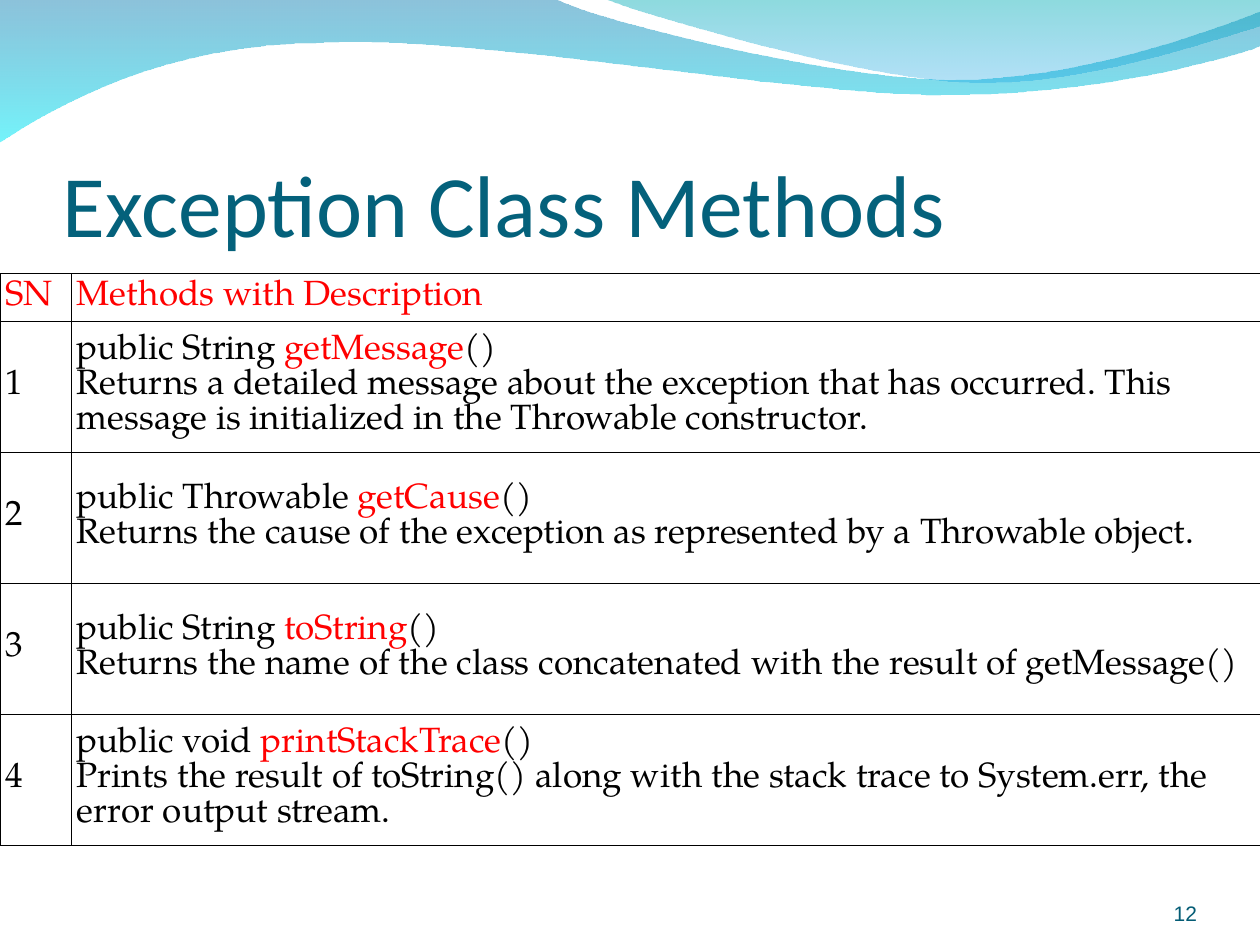
from lxml.etree import SubElement
from pptx import Presentation
from pptx.dml.color import RGBColor
from pptx.enum.text import MSO_ANCHOR, PP_ALIGN
from pptx.oxml import parse_xml
from pptx.oxml.ns import nsdecls, qn
from pptx.util import Inches, Pt

COLORS = {
    "title": "04617B", "number": "045C75", "accent": "FF0000", "text": "000000",
    "wave_top": "0079AF", "wave_bottom": "00EBF8",
    "crest_top": "00ADB6", "crest_bottom": "009BE5",
}
BODY_FONT = "TeX Gyre Pagella"
WAVE = [
    [(0, -0.01)], [(4.4, -0.01)],
    [(4.76, 0.17), (6.64, 0.63), (7.58, 0.63)],
    [(8.53, 0.63), (9.58, 0.26), (10, 0.09)],
    [(10.01, 0.36)],
    [(9.83, 0.44), (8.7, 0.76), (7.46, 0.75)],
    [(6.22, 0.75), (3.82, 0.28), (2.57, 0.34)],
    [(1.29, 0.35), (0.46, 0.83), (-0.01, 1.13)],
]
CREST = [
    [(4.79, -0.01)],
    [(5.09, 0.11), (6.82, 0.62), (7.69, 0.65)],
    [(8.56, 0.69), (9.61, 0.32), (10, 0.21)],
    [(10, 0)],
]
METHODS = [
    ("String", "getMessage", "Returns a detailed message about the exception that has occurred. "
     "This message is initialized in the Throwable constructor."),
    ("Throwable", "getCause",
     "Returns the cause of the exception as represented by a Throwable object."),
    ("String", "toString",
     "Returns the name of the class concatenated with the result of getMessage()"),
    ("void", "printStackTrace", "Prints the result of toString() along with the stack trace "
     "to System.err, the error output stream."),
]


def add_run(p, text, size=20, font=BODY_FONT, color="text"):
    r = p.add_run()
    r.text = text
    r.font.size = Pt(size)
    r.font.name = font
    r.font.color.rgb = RGBColor.from_string(COLORS[color])


def add_text(s, box, text, align=PP_ALIGN.LEFT, top_inset=0, before=0, **style):
    tf = s.shapes.add_textbox(*map(Inches, box)).text_frame
    tf.word_wrap = True
    tf.vertical_anchor = MSO_ANCHOR.BOTTOM
    tf.margin_left = tf.margin_right = tf.margin_bottom = 0
    tf.margin_top = Inches(top_inset)
    p = tf.paragraphs[0]
    p.alignment = align
    p.space_before = Pt(before)
    add_run(p, text, **style)


def curve_outline(sp, segments):
    lines = iter(list(sp.element.spPr.iter(qn("a:lnTo"))))
    for segment in segments[1:]:
        first, *others = [next(lines) for point in segment]
        if others:
            first.tag = qn("a:cubicBezTo")
            for line in others:
                first.append(line[0])
                line.getparent().remove(line)


def add_wave(s, segments, stops):
    points = [(Inches(x), Inches(y)) for segment in segments for x, y in segment]
    builder = s.shapes.build_freeform(*points[0])
    builder.add_line_segments(points[1:])
    sp = builder.convert_to_shape()
    curve_outline(sp, segments)
    sp.shadow.inherit = False
    sp.line.fill.background()
    sp.fill.gradient()
    sp.fill.gradient_angle = 270
    for stop, (color, alpha) in zip(sp.fill.gradient_stops, stops):
        stop.color.rgb = RGBColor.from_string(COLORS[color])
    for clr, (color, alpha) in zip(sp.element.spPr.iter(qn("a:srgbClr")), stops):
        SubElement(clr, qn("a:alpha"), val=str(alpha * 1000))


def format_cell(cell):
    cell.fill.background()
    cell.vertical_anchor = MSO_ANCHOR.MIDDLE
    cell.margin_left = cell.margin_right = Inches(0.04)
    cell.margin_top = cell.margin_bottom = Inches(0.05)
    tc_pr = cell._tc.get_or_add_tcPr()
    for i, side in enumerate(("lnL", "lnR", "lnT", "lnB")):
        tc_pr.insert(i, parse_xml(
            f'<a:{side} {nsdecls("a")} w="{Pt(0.45)}"><a:solidFill>'
            f'<a:srgbClr val="{COLORS["text"]}"/></a:solidFill></a:{side}>'))


def add_methods_table(s, box):
    table = s.shapes.add_table(len(METHODS) + 1, 2, *map(Inches, box)).table
    table.first_row = table.horz_banding = False
    number_width, header_height = 0.57, 0.37
    table.columns[0].width = Inches(number_width)
    table.columns[1].width = Inches(box[2] - number_width)
    for row in table.rows:
        row.height = Inches((box[3] - header_height) / len(METHODS))
    table.rows[0].height = Inches(header_height)
    for cell in table.iter_cells():
        format_cell(cell)
    for col, heading in enumerate(("SN", "Methods with Description")):
        add_run(table.cell(0, col).text_frame.paragraphs[0], heading, color="accent")
    for i, (kind, name, description) in enumerate(METHODS, 1):
        add_run(table.cell(i, 0).text_frame.paragraphs[0], str(i))
        p = table.cell(i, 1).text_frame.paragraphs[0]
        add_run(p, f"public {kind} ")
        add_run(p, name, color="accent")
        add_run(p, "()")
        p.add_line_break()
        add_run(p, description)


def main():
    prs = Presentation()
    prs.slide_width, prs.slide_height = Inches(10), Inches(7.5)
    s = prs.slides.add_slide(prs.slide_layouts[6])
    add_wave(s, WAVE, [("wave_top", 45), ("wave_bottom", 55)])
    add_wave(s, CREST, [("crest_top", 45), ("crest_bottom", 30)])
    add_methods_table(s, (0, 2.17, 10, 4.53))
    add_text(s, (8.67, 6.95, 0.83, 0.4), "12", align=PP_ALIGN.RIGHT, before=3,
             size=12, font="Arial", color="number")
    add_text(s, (0.5, 0.77, 9, 1.25), "Exception Class Methods", top_inset=0.05,
             size=50, font="Calibri", color="title")
    prs.save("out.pptx")


if __name__ == "__main__":
    main()
